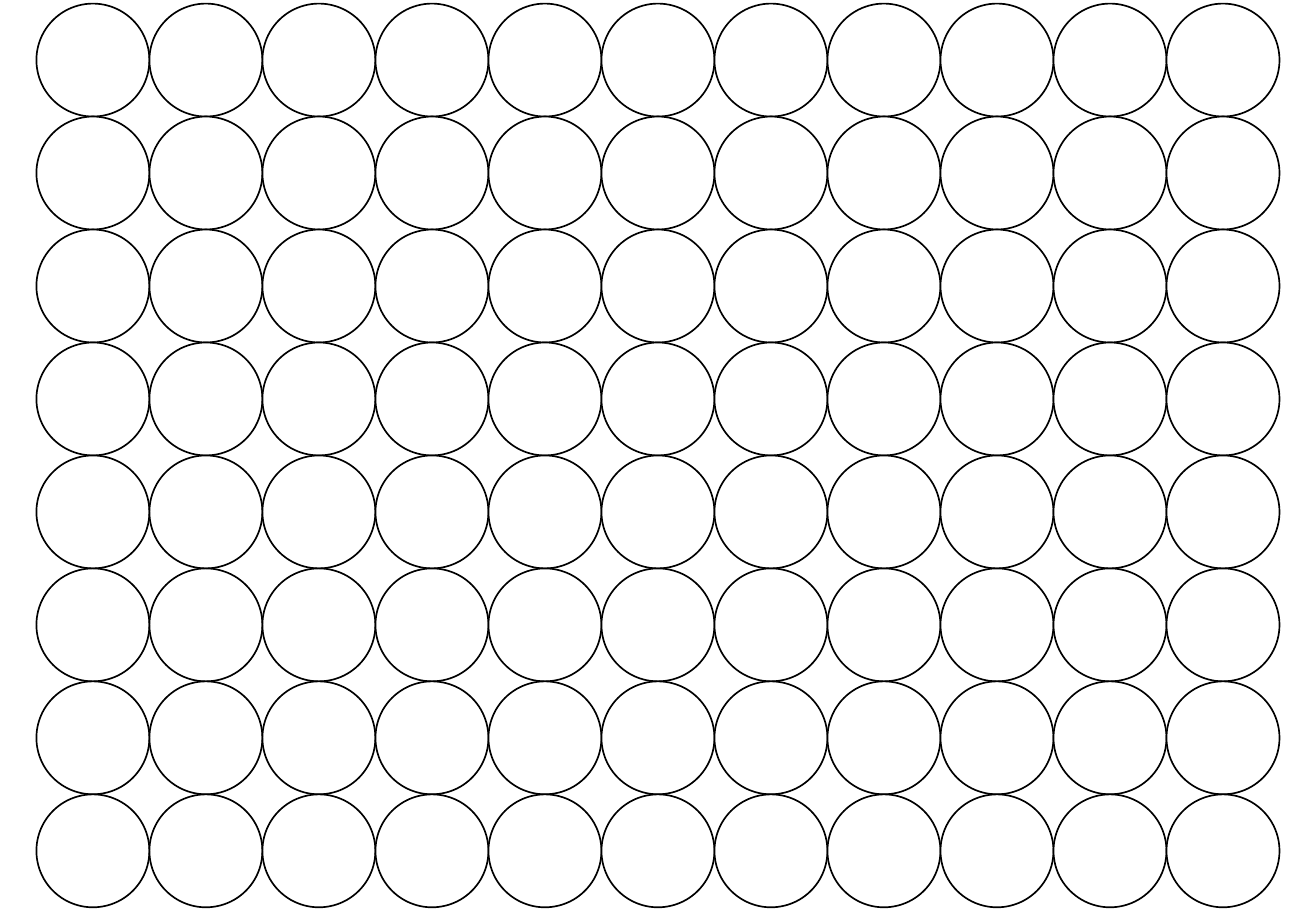
from dataclasses import dataclass
from itertools import product

from pptx import Presentation
from pptx.dml.color import RGBColor as Rgb
from pptx.enum.shapes import MSO_SHAPE as Form
from pptx.slide import Slide
from pptx.util import Inches, Pt


# Colours and line width
@dataclass(frozen=True)
class Theme:
    fill: Rgb = Rgb(0xFF, 0xFF, 0xFF)
    line: Rgb = Rgb(0x00, 0x00, 0x00)
    width: float = 1


# Grid of touching circles, in inches
@dataclass(frozen=True)
class Grid:
    left: float = 0.3
    top: float = 0.03
    cell: float = 0.93
    cols: int = 11
    rows: int = 8


@dataclass(frozen=True)
class Circle:
    col: int
    row: int


THEME = Theme()
GRID = Grid()


def draw(slide: Slide, item: Circle) -> None:
    size = Inches(GRID.cell)
    left = Inches(GRID.left + item.col * GRID.cell)
    top = Inches(GRID.top + item.row * GRID.cell)
    shape = slide.shapes.add_shape(Form.OVAL, left, top, size, size)
    shape.shadow.inherit = False
    shape.fill.solid()
    shape.fill.fore_color.rgb = THEME.fill
    shape.line.color.rgb = THEME.line
    shape.line.width = Pt(THEME.width)


def main() -> None:
    # Blank slide
    deck = Presentation()
    deck.slide_width, deck.slide_height = Inches(10.83), Inches(7.5)
    slide = deck.slides.add_slide(deck.slide_layouts[6])

    # Circles, row by row
    for row, col in product(range(GRID.rows), range(GRID.cols)):
        draw(slide, Circle(col, row))

    deck.save("out.pptx")


if __name__ == "__main__":
    main()
